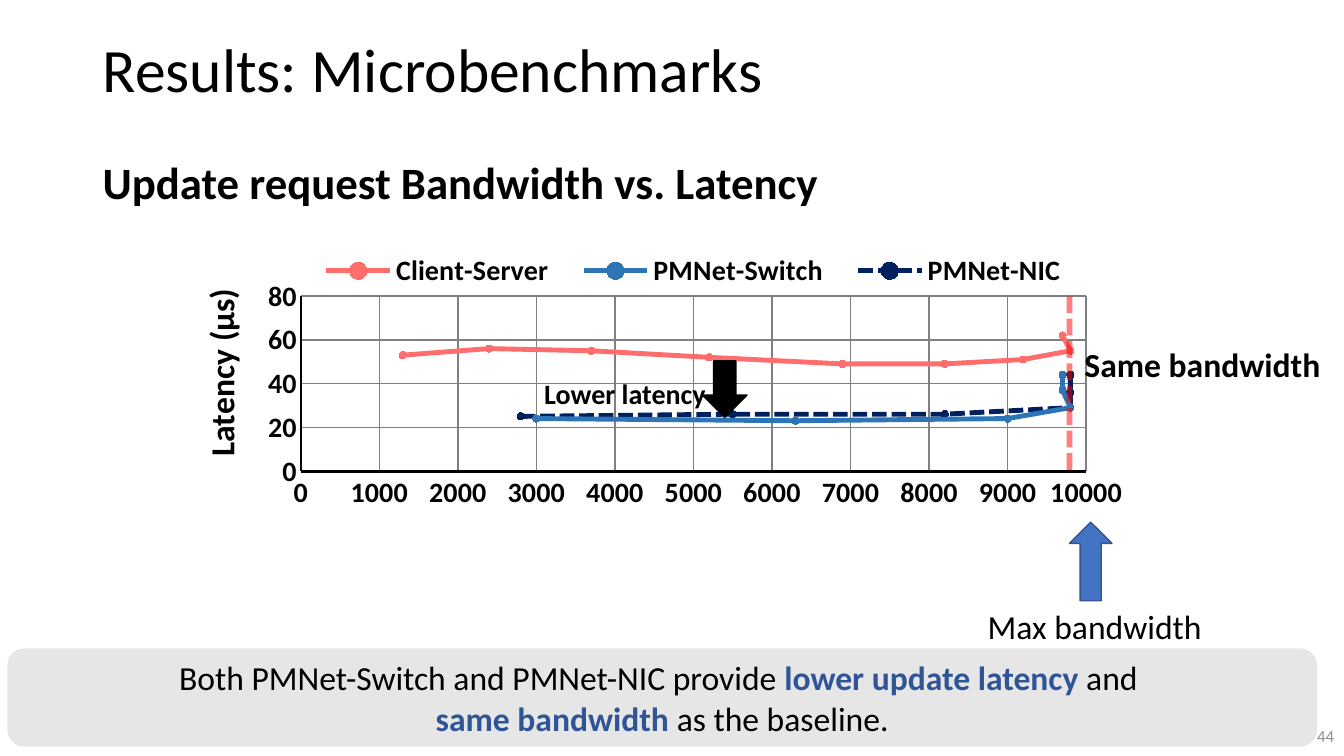
from lxml import etree
from pptx import Presentation, util as u
from pptx.chart.data import XyChartData
from pptx.dml.color import RGBColor
from pptx.enum import chart as ch, dml, shapes, text
from pptx.oxml import ns

BLACK = RGBColor(0, 0, 0)
GRAY = RGBColor(0x8C, 0x8C, 0x8C)
GRID = RGBColor(0x80, 0x80, 0x80)
PALE = RGBColor(0xE7, 0xE6, 0xE6)
ROYAL = RGBColor(0x2F, 0x55, 0x97)
BLUE = RGBColor(0x44, 0x72, 0xC4)
EDGE = RGBColor(0x32, 0x54, 0x91)
RED = RGBColor(0xFF, 0, 0)
CORAL = RGBColor(0xFF, 0x6D, 0x6D)
SKY = RGBColor(0x2E, 0x75, 0xB6)
NAVY = RGBColor(0, 0x20, 0x60)
WIDE, HIGH = u.Inches(13.333), u.Inches(7.5)
DASH = dml.MSO_LINE.SQUARE_DOT
MID = text.MSO_ANCHOR.MIDDLE

SERIES = [
    ("Client-Server", CORAL, None,
     [(1300, 53), (2400, 56), (3700, 55), (5200, 52), (6900, 49),
      (8200, 49), (9200, 51), (9800, 55), (9700, 62)]),
    ("PMNet-Switch", SKY, None,
     [(3000, 24), (6300, 23), (9000, 24), (9800, 29), (9700, 37), (9700, 44)]),
    ("PMNet-NIC", NAVY, DASH,
     [(2800, 25), (5500, 26), (8200, 26), (9800, 29), (9800, 36), (9800, 44)]),
]


def put(obj, vals):
    for key, val in vals.items():
        setattr(obj, key, val)


def box(x, y, w, h):
    return [int(side * part / 100)
            for side, part in zip((WIDE, HIGH, WIDE, HIGH), (x, y, w, h))]


def style(font, size, color=BLACK, bold=False):
    put(font, {"name": "Calibri", "size": u.Pt(size), "bold": bold})
    font.color.rgb = color


def stroke(line, color, width, dash=None):
    line.color.rgb = color
    put(line, {"width": u.Pt(width), "dash_style": dash})


def write(para, runs, size):
    for words, color, bold in runs:
        run = para.add_run()
        run.text = words
        style(run.font, size, color, bold)


def label(slide, area, words, size, color=BLACK, bold=False, wrap=False,
          anchor=text.MSO_ANCHOR.TOP, align=text.PP_ALIGN.LEFT, gap=1.0):
    frame = slide.shapes.add_textbox(*box(*area)).text_frame
    put(frame, {"word_wrap": wrap, "vertical_anchor": anchor})
    para = frame.paragraphs[0]
    put(para, {"alignment": align, "line_spacing": gap})
    write(para, [(words, color, bold)], size)


def block(slide, kind, area, fill, edge):
    shape = slide.shapes.add_shape(kind, *box(*area))
    shape.shadow.inherit = False
    shape.fill.solid()
    shape.fill.fore_color.rgb = fill
    stroke(shape.line, edge, 1)
    return shape


def banner(slide, area, lines):
    shape = block(slide, shapes.MSO_SHAPE.ROUNDED_RECTANGLE, area, PALE, PALE)
    frame = shape.text_frame
    put(frame, {"word_wrap": True, "vertical_anchor": MID})
    for row, runs in enumerate(lines):
        para = frame.add_paragraph() if row else frame.paragraphs[0]
        para.alignment = text.PP_ALIGN.CENTER
        write(para, runs, 24)


def marker(slide, x, top, end):
    start, stop = box(x, top, 0, 0)[:2], box(x, end, 0, 0)[:2]
    line = slide.shapes.add_connector(shapes.MSO_CONNECTOR.STRAIGHT, *start, *stop)
    stroke(line.line, RED, 4, DASH)
    props = line._element.spPr
    tint = props.find(".//" + ns.qn("a:srgbClr"))
    etree.SubElement(tint, ns.qn("a:alpha"), val="50000")
    etree.SubElement(props, ns.qn("a:effectLst"))


def place(node, index, **parts):
    layout = node.find(ns.qn("c:layout"))
    if layout is None:
        layout = etree.Element(ns.qn("c:layout"))
        node.insert(index, layout)
    manual = etree.SubElement(layout, ns.qn("c:manualLayout"))
    for key, val in parts.items():
        etree.SubElement(manual, ns.qn("c:" + key), val=str(val))


def scale(axis, top, step, width):
    put(axis, {"minimum_scale": 0, "maximum_scale": top, "major_unit": step,
               "has_major_gridlines": True,
               "major_tick_mark": ch.XL_TICK_MARK.NONE,
               "minor_tick_mark": ch.XL_TICK_MARK.NONE})
    style(axis.tick_labels.font, 20, bold=True)
    put(axis.tick_labels, {"number_format": "0", "number_format_is_linked": False})
    stroke(axis.format.line, BLACK, width)
    stroke(axis.major_gridlines.format.line, GRID, 1)


def plot(slide, area):
    data = XyChartData()
    for name, _, _, points in SERIES:
        series = data.add_series(name)
        for x, y in points:
            series.add_data_point(x, y)
    chart = slide.shapes.add_chart(
        ch.XL_CHART_TYPE.XY_SCATTER_LINES, *box(*area), data).chart
    put(chart, {"has_title": False, "has_legend": True})
    style(chart.font, 10)
    chart.plots[0].vary_by_categories = False
    for series, (_, color, dash, _) in zip(chart.plots[0].series, SERIES):
        series.smooth = False
        stroke(series.format.line, color, 3.5, dash)
        put(series.marker, {"style": ch.XL_MARKER_STYLE.CIRCLE, "size": 5})
        look = series.marker.format
        look.fill.solid()
        look.fill.fore_color.rgb = color
        stroke(look.line, color, 1)
    scale(chart.category_axis, 10000, 1000, 2)
    scale(chart.value_axis, 80, 20, 1.5)
    title = chart.value_axis.axis_title
    write(title.text_frame.paragraphs[0], [("Latency (μs)", BLACK, True)], 24)
    put(chart.legend, {"position": ch.XL_LEGEND_POSITION.TOP,
                       "include_in_layout": False})
    style(chart.legend.font, 20, bold=True)
    edge = {"xMode": "edge", "yMode": "edge"}
    place(title._element, 1, **edge, x=0.03, y=0.13)
    place(chart.legend._element, 1, **edge, x=0.14, y=0.04, w=0.8, h=0.11)
    place(chart._chartSpace.chart.plotArea, 0, layoutTarget="inner", **edge,
          x=0.14, y=0.17, w=0.8, h=0.52)


def main():
    deck = Presentation()
    put(deck, {"slide_width": WIDE, "slide_height": HIGH})
    slide = deck.slides.add_slide(deck.slide_layouts[6])
    label(slide, (6.9, 2.53, 86.25, 14.27), "Results: Microbenchmarks", 44,
          wrap=True, anchor=MID, gap=0.9)
    label(slide, (77.5, 94.67, 22.5, 5.33), "44", 12, GRAY, wrap=True,
          anchor=MID, align=text.PP_ALIGN.RIGHT)
    label(slide, (6.9, 19.87, 81.08, 8.53),
          "Update request Bandwidth vs. Latency", 32, bold=True, wrap=True)
    banner(slide, (0.6, 85.87, 97.35, 12.8), [
        [("Both PMNet-Switch and PMNet-NIC provide ", BLACK, False),
         ("lower update latency ", ROYAL, True), ("and ", BLACK, False)],
        [("same bandwidth", ROYAL, True), (" as the baseline.", BLACK, False)],
    ])
    plot(slide, (12.15, 31.6, 73.05, 44.53))
    block(slide, shapes.MSO_SHAPE.DOWN_ARROW, (52.28, 47.73, 3.3, 7.47), BLACK, BLACK)
    label(slide, (79.95, 44.8, 19.13, 6.67), "Same bandwidth", 24, bold=True)
    marker(slide, 79.58, 39.2, 62.4)
    label(slide, (39.75, 49.2, 13.73, 5.87), "Lower latency", 20, bold=True)
    block(slide, shapes.MSO_SHAPE.UP_ARROW, (79.58, 69.07, 3.15, 10.4), BLUE, EDGE)
    label(slide, (72.75, 79.47, 18.15, 6.67), "Max bandwidth", 24)
    deck.save("out.pptx")


if __name__ == "__main__":
    main()
